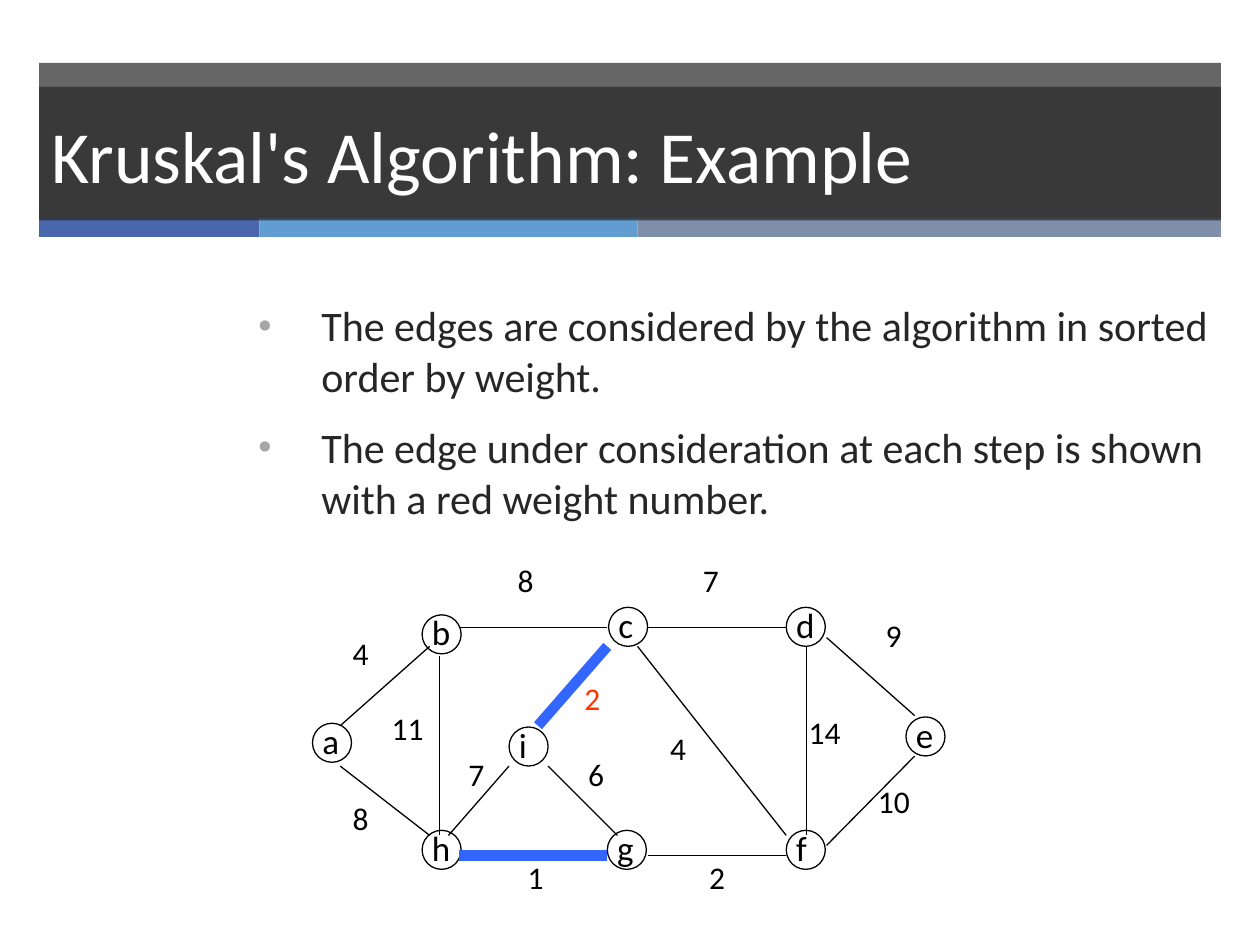
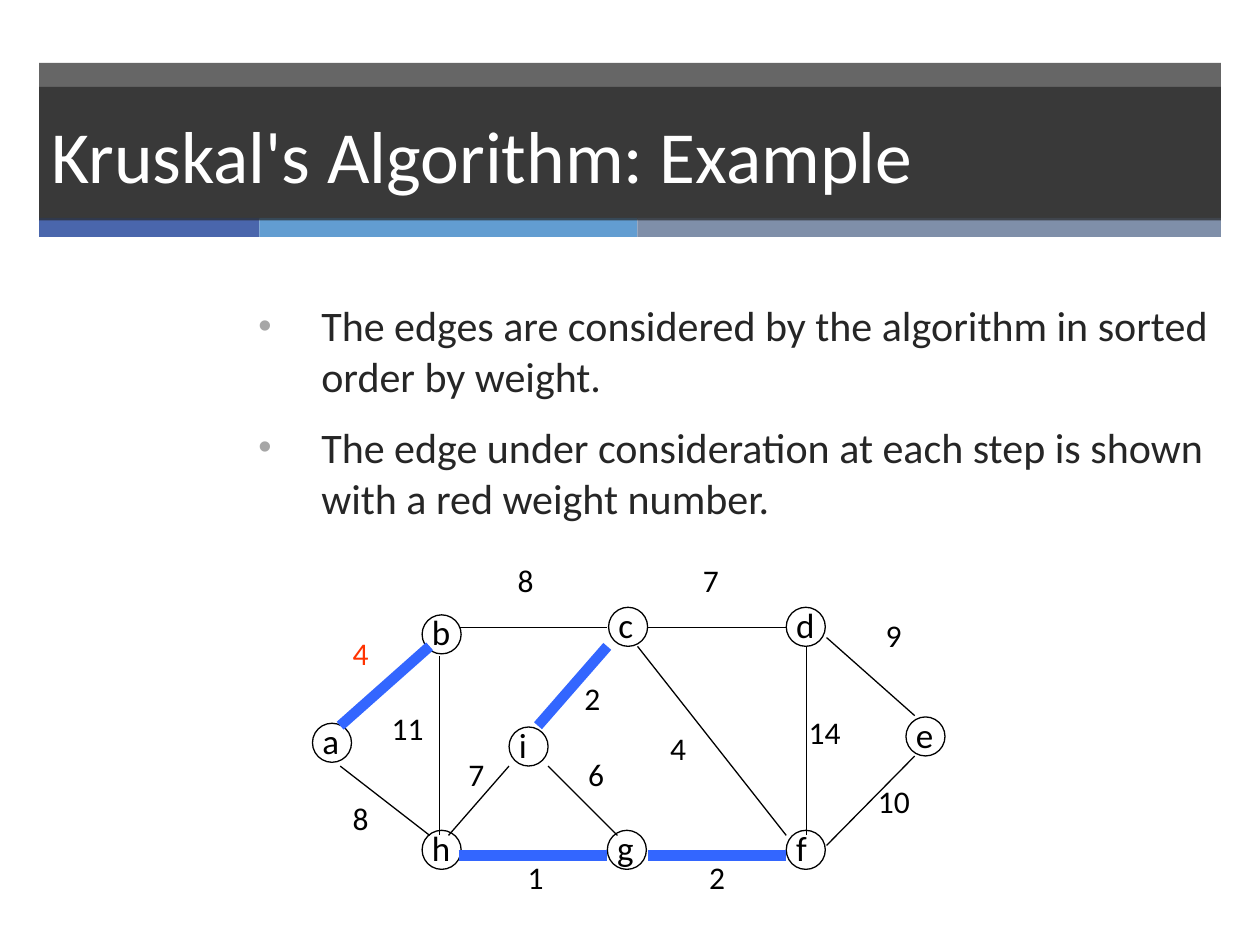
from dataclasses import dataclass

from pptx import Presentation
from pptx.dml.color import RGBColor as RGB
from pptx.enum.shapes import MSO_CONNECTOR as CONN, MSO_SHAPE as SHAPE
from pptx.enum.text import MSO_ANCHOR as ANCHOR, MSO_AUTO_SIZE as AUTO, PP_ALIGN as ALIGN
from pptx.oxml.ns import qn
from pptx.util import Inches, Pt
from lxml.etree import SubElement


@dataclass(frozen=True)
class Theme:
    font: str = "Calibri"
    dark: str = "262626"
    bullet: str = "A6A6A6"
    white: str = "FFFFFF"
    black: str = "000000"
    chosen: str = "3366FF"
    current: str = "FF3300"
    accents: tuple = ("4A66AC", "629DD1", "7F8FA9")
    title_size: int = 42
    body_size: int = 24
    node_size: int = 20
    weight_size: int = 18
    thin: float = 0.75
    thick: float = 6
    band_alpha: int = 70


T = Theme()
TITLE = "Kruskal's Algorithm: Example"
BULLETS = [
    "The edges are considered by the algorithm in sorted order by weight.",
    "The edge under consideration at each step is shown with a red weight number.",
]
NODE_D = 0.31
NODES = {
    "a": (2.48, 5.74, 0.32), "b": (3.35, 4.88, 0.34), "h": (3.35, 6.59, 0.34),
    "c": (4.83, 4.82, 0.32), "d": (6.24, 4.82, 0.34), "e": (7.19, 5.69, 0.32),
    "f": (6.24, 6.59, 0.29), "g": (4.82, 6.59, 0.34), "i": (4.04, 5.77, 0.28),
}
EDGES = {
    "ab": ((2.7, 5.76), (3.41, 5.13), "4", (2.7, 4.98)),
    "ah": ((2.7, 6.08), (3.41, 6.63), "8", (2.7, 6.29)),
    "bh": ((3.49, 5.21), (3.49, 6.63), "11", (3.01, 5.58)),
    "bc": ((3.64, 4.98), (4.82, 4.98), "8", (4.01, 4.4)),
    "hg": ((3.64, 6.79), (4.82, 6.79), "1", (4.09, 6.76)),
    "gf": ((5.14, 6.79), (6.24, 6.79), "2", (5.53, 6.76)),
    "cf": ((5.06, 5.13), (6.24, 6.63), "4", (5.22, 5.74)),
    "cd": ((5.14, 4.98), (6.24, 4.98), "7", (5.48, 4.4)),
    "df": ((6.4, 5.13), (6.4, 6.63), "14", (6.32, 5.61)),
    "de": ((6.56, 5.06), (7.26, 5.68), "9", (6.93, 4.84)),
    "ef": ((6.56, 6.71), (7.26, 6), "10", (6.87, 6.16)),
    "ig": ((4.35, 6.08), (4.9, 6.63), "6", (4.57, 5.94)),
    "hi": ((3.56, 6.63), (4.04, 6.08), "7", (3.62, 5.94)),
    "ic": ((4.27, 5.76), (4.82, 5.13), "2", (4.54, 5.34)),
}
STEPS = [
    (("hg", "ic"), "ic"),
    (("hg", "ic", "gf", "ab"), "ab"),
]


def style(p, size, color):
    for r in p.runs:
        r.font.name = T.font
        r.font.size = Pt(size)
        r.font.color.rgb = RGB.from_string(color)


def add_label(shapes, text, x, y, w, h, size, color):
    tb = shapes.add_textbox(Inches(x), Inches(y), Inches(w), Inches(h))
    tf = tb.text_frame
    tf.word_wrap = False
    tf.auto_size = AUTO.SHAPE_TO_FIT_TEXT
    tf.text = text
    style(tf.paragraphs[0], size, color)


prs = Presentation()
prs.slide_width, prs.slide_height = Inches(10), Inches(7.5)
layout = prs.slide_layouts[1]
slides = [prs.slides.add_slide(layout) for step in STEPS]

bands = [
    (0.31, 0.5, 9.38, 1.24, T.dark),
    (0.31, 1.73, 1.75, 0.15, T.accents[0]),
    (2.06, 1.73, 3, 0.15, T.accents[1]),
    (5.06, 1.73, 4.63, 0.15, T.accents[2]),
]
for i, (x, y, w, h, color) in enumerate(bands):
    sp = slides[0].shapes.add_shape(SHAPE.RECTANGLE, Inches(x), Inches(y), Inches(w), Inches(h))
    sp.shadow.inherit = False
    sp.line.fill.background()
    sp.fill.solid()
    sp.fill.fore_color.rgb = RGB.from_string(color)
    if color == T.dark:
        clr = sp.element.spPr.find(".//" + qn("a:srgbClr"))
        SubElement(clr, qn("a:alpha")).set("val", str(T.band_alpha * 1000))
    layout.shapes.element.insert(2 + i, sp.element)

for s, (chosen, current) in zip(slides, STEPS):
    title = s.shapes.title
    title.left, title.top = Inches(0.31), Inches(0.69)
    title.width, title.height = Inches(9.38), Inches(1.06)
    title.fill.solid()
    title.fill.fore_color.rgb = RGB.from_string(T.dark)
    clr = title.element.spPr.find(".//" + qn("a:srgbClr"))
    SubElement(clr, qn("a:alpha")).set("val", str(T.band_alpha * 1000))
    tf = title.text_frame
    tf.text = TITLE
    tf.auto_size = AUTO.NONE
    tf.vertical_anchor = ANCHOR.MIDDLE
    p = tf.paragraphs[0]
    p.alignment = ALIGN.LEFT
    style(p, T.title_size, T.white)

    body = s.placeholders[1]
    body.left, body.top = Inches(1.95), Inches(2.33)
    body.width, body.height = Inches(7.74), Inches(4.37)
    tf = body.text_frame
    tf.text = "\n".join(BULLETS)
    tf.auto_size = AUTO.NONE
    for p in tf.paragraphs:
        p.space_before = Pt(T.body_size / 2)
        style(p, T.body_size, T.dark)
        pPr = p._p.get_or_add_pPr()
        pPr.set("marL", str(Inches(0.5)))
        pPr.set("indent", str(Inches(-0.5)))
        SubElement(SubElement(pPr, qn("a:buClr")), qn("a:srgbClr")).set("val", T.bullet)
        SubElement(pPr, qn("a:buSzPct")).set("val", "90000")
        SubElement(pPr, qn("a:buFont")).set("typeface", "Arial")
        SubElement(pPr, qn("a:buChar")).set("char", "•")

    graph = s.shapes.add_group_shape().shapes
    for name, (x, y, w) in NODES.items():
        add_label(graph, name, x - 0.02, y - 0.08, w, 0.43, T.node_size, T.black)
        sp = graph.add_shape(SHAPE.OVAL, Inches(x), Inches(y), Inches(NODE_D), Inches(NODE_D))
        sp.shadow.inherit = False
        sp.fill.background()
        sp.line.color.rgb = RGB.from_string(T.black)
        sp.line.width = Pt(T.thin)

    for edge, (start, end, weight, at) in EDGES.items():
        picked = edge in chosen
        ln = graph.add_connector(CONN.STRAIGHT, *map(Inches, start + end))
        ln.line.color.rgb = RGB.from_string(T.chosen if picked else T.black)
        ln.line.width = Pt(T.thick if picked else T.thin)
        SubElement(ln.element.spPr, qn("a:effectLst"))
        add_label(graph, weight, *at, 0.37 if len(weight) == 1 else 0.53, 0.5,
                  T.weight_size, T.current if edge == current else T.black)

prs.save("out.pptx")
